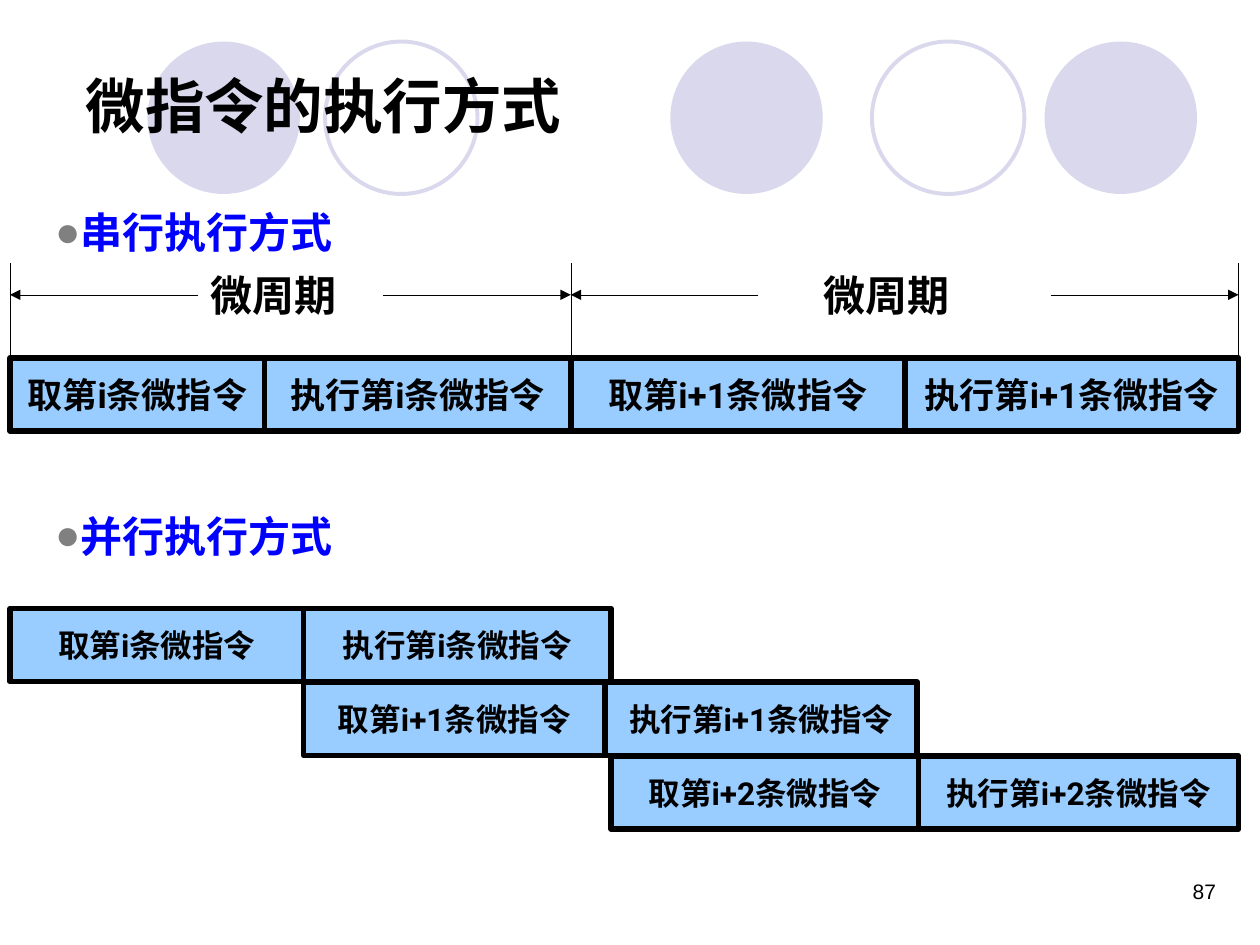
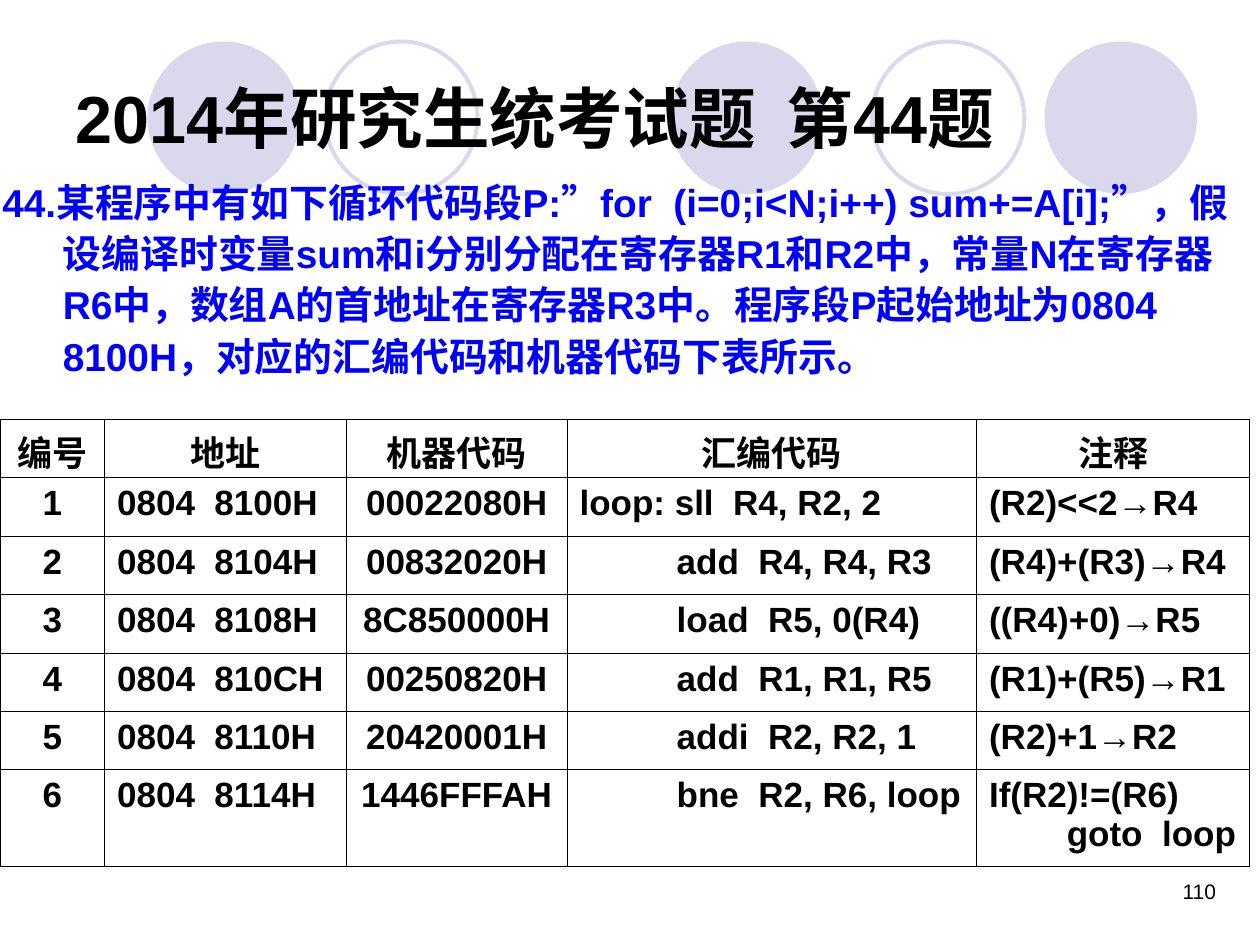
from itertools import pairwise

from lxml.etree import SubElement
from pptx import Presentation
from pptx.dml.color import RGBColor
from pptx.enum.shapes import MSO_CONNECTOR as CONNECTOR, MSO_SHAPE as SHAPE
from pptx.enum.text import MSO_ANCHOR as ANCHOR, PP_ALIGN as ALIGN
from pptx.oxml.ns import qn
from pptx.util import Inches, Pt

BLACK = RGBColor(0x00, 0x00, 0x00)
BLUE = RGBColor(0x00, 0x00, 0xFF)
LAVENDER = RGBColor(0xD9, 0xD8, 0xEC)
SKY = RGBColor(0x99, 0xCC, 0xFF)
BULLET_GREY = RGBColor(0x80, 0x80, 0x80)

BODY_FONT = "Arial"
DIAGRAM_FONT = "Roboto"

CIRCLE_SIZE = 1.21
FILLED_CIRCLES = [1.17, 5.32, 8.29]
RING_CIRCLES = [2.58, 6.92]

ROW_HEIGHT = 0.58
ROW_PITCH = 0.585
CYCLE_TOP = 2.09
ARROW_Y = 2.34
ARROW_LENGTH = 1.49
SERIAL_TOP = 2.84
PARALLEL_TOP = 4.83

SERIAL_EDGES = [0.08, 2.1, 4.53, 7.18, 9.83]
PARALLEL_EDGES = [(0.08, 2.41, 4.85), (2.41, 4.8, 7.28), (4.85, 7.29, 9.83)]

COLUMN_WIDTHS = [0.83, 1.92, 1.75, 3.25, 2.17]
ROW_HEIGHTS = [0.46, 0.47, 0.46, 0.47, 0.46, 0.46, 0.77]
CENTRED_COLUMNS = {0, 2}
PROGRAM = [
    ("编号", "地址", "机器代码", "汇编代码", "注释"),
    ("1", "0804  8100H", "00022080H", "loop: sll  R4, R2, 2", "(R2)<<2→R4"),
    ("2", "0804  8104H", "00832020H", "          add  R4, R4, R3", "(R4)+(R3)→R4"),
    ("3", "0804  8108H", "8C850000H", "          load  R5, 0(R4)", "((R4)+0)→R5"),
    ("4", "0804  810CH", "00250820H", "          add  R1, R1, R5", "(R1)+(R5)→R1"),
    ("5", "0804  8110H", "20420001H", "          addi  R2, R2, 1", "(R2)+1→R2"),
    ("6", "0804  8114H", "1446FFFAH", "          bne  R2, R6, loop",
     "If(R2)!=(R6)\n        goto  loop"),
]
QUESTION = (
    "44.某程序中有如下循环代码段P:”for  (i=0;i<N;i++) sum+=A[i];”，"
    "假设编译时变量sum和i分别分配在寄存器R1和R2中，常量N在寄存器R6中，"
    "数组A的首地址在寄存器R3中。程序段P起始地址为0804  8100H，"
    "对应的汇编代码和机器代码下表所示。"
)


def format_text(tf, size, color=BLACK, bold=True, font=BODY_FONT, align=ALIGN.LEFT):
    for p in tf.paragraphs:
        p.alignment = align
        for r in p.runs:
            r.font.size = Pt(size)
            r.font.name = font
            r.font.bold = bold
            r.font.color.rgb = color


def add_text(slide, text, left, top, width, height, size, **style):
    tf = slide.shapes.add_textbox(
        Inches(left), Inches(top), Inches(width), Inches(height)).text_frame
    tf.word_wrap = True
    tf.text = text
    format_text(tf, size, **style)
    return tf


def set_indent(p, hanging):
    """Hang the first line of a paragraph out by the given inches."""
    pPr = p._p.get_or_add_pPr()
    pPr.set("marL", str(Inches(hanging)))
    pPr.set("indent", str(-Inches(hanging)))
    return pPr


def add_circles(slide):
    """Put the circles on the slide's layout, behind its placeholders."""
    layout_tree = slide.slide_layout.shapes.element
    for i, left in enumerate(FILLED_CIRCLES + RING_CIRCLES):
        sp = slide.shapes.add_shape(
            SHAPE.OVAL, Inches(left), Inches(0.33),
            Inches(CIRCLE_SIZE), Inches(CIRCLE_SIZE))
        sp.shadow.inherit = False
        if left in FILLED_CIRCLES:
            sp.fill.solid()
            sp.fill.fore_color.rgb = LAVENDER
            sp.line.fill.background()
        else:
            sp.fill.background()
            sp.line.color.rgb = LAVENDER
            sp.line.width = Pt(2.25)
        sp.element.nvSpPr.cNvPr.set("id", str(100 + i))
        layout_tree.insert(2 + i, sp.element)


def add_slide(prs, title, box, size, number):
    slide = prs.slides.add_slide(prs.slide_layouts[5])
    sp = slide.shapes.title
    sp.left, sp.top, sp.width, sp.height = map(Inches, box)
    tf = sp.text_frame
    tf.text = title
    tf.vertical_anchor = ANCHOR.MIDDLE
    format_text(tf, size)
    add_text(slide, number, 7.42, 6.92, 2.33, 0.5, 12, bold=False, align=ALIGN.RIGHT)
    return slide


def add_bullet(slide, text, top):
    tf = add_text(slide, text, 0.34, top, 9.16, 0.7, 24, color=BLUE)
    p = tf.paragraphs[0]
    p.line_spacing = 1.3
    pPr = set_indent(p, 0.19)
    color = SubElement(pPr, qn("a:buClr"))
    SubElement(color, qn("a:srgbClr"), val=str(BULLET_GREY))
    SubElement(pPr, qn("a:buFont"), typeface=BODY_FONT)
    SubElement(pPr, qn("a:buChar"), char="●")


def add_line(slide, x1, y1, x2, y2, arrow=False):
    line = slide.shapes.add_connector(
        CONNECTOR.STRAIGHT, Inches(x1), Inches(y1), Inches(x2), Inches(y2))
    line.line.color.rgb = BLACK
    line.line.width = Pt(0.25)
    if arrow:
        SubElement(line.line._get_or_add_ln(), qn("a:tailEnd"), type="triangle")
    SubElement(line.element.spPr, qn("a:effectLst"))


def add_cycle(slide, start, end, label_left):
    """Mark one micro-cycle with arrows pointing outwards to its two ends."""
    add_line(slide, start + ARROW_LENGTH, ARROW_Y, start, ARROW_Y, arrow=True)
    add_line(slide, end - ARROW_LENGTH, ARROW_Y, end, ARROW_Y, arrow=True)
    add_text(slide, "微周期", label_left, CYCLE_TOP, 2.12, 0.5, 24, font=DIAGRAM_FONT)


def add_stages(slide, edges, top, labels, size):
    """Draw a row of adjoining boxes between the given edges."""
    for (left, right), label in zip(pairwise(edges), labels):
        sp = slide.shapes.add_shape(
            SHAPE.FLOWCHART_PROCESS, Inches(left), Inches(top),
            Inches(right - left), Inches(ROW_HEIGHT))
        sp.shadow.inherit = False
        sp.fill.solid()
        sp.fill.fore_color.rgb = SKY
        sp.line.color.rgb = BLACK
        sp.line.width = Pt(3.25)
        tf = sp.text_frame
        tf.margin_left = tf.margin_right = 0
        tf.word_wrap = False
        tf.vertical_anchor = ANCHOR.MIDDLE
        tf.text = label
        format_text(tf, size, font=DIAGRAM_FONT, align=ALIGN.CENTER)


def stage_labels(index):
    return [f"取第{index}条微指令", f"执行第{index}条微指令"]


def add_borders(cell):
    tcPr = cell._tc.get_or_add_tcPr()
    for side in ("lnL", "lnR", "lnT", "lnB"):
        ln = SubElement(tcPr, qn(f"a:{side}"), w=str(Pt(0.45)))
        fill = SubElement(ln, qn("a:solidFill"))
        SubElement(fill, qn("a:srgbClr"), val=str(BLACK))


def add_program_table(slide):
    table = slide.shapes.add_table(
        len(PROGRAM), len(COLUMN_WIDTHS), Inches(0), Inches(3.33),
        Inches(sum(COLUMN_WIDTHS)), Inches(sum(ROW_HEIGHTS))).table
    table.first_row = table.horz_banding = False
    for column, width in zip(table.columns, COLUMN_WIDTHS):
        column.width = Inches(width)
    for i, (row, height) in enumerate(zip(table.rows, ROW_HEIGHTS)):
        row.height = Inches(height)
        for j, cell in enumerate(row.cells):
            cell.text = PROGRAM[i][j]
            centred = i == 0 or j in CENTRED_COLUMNS
            format_text(cell.text_frame, 20,
                        align=ALIGN.CENTER if centred else ALIGN.LEFT)
            add_borders(cell)
            cell.fill.background()


def build_execution_slide(prs):
    slide = add_slide(prs, "微指令的执行方式", (0.58, 0.42, 7.78, 0.83), 34, "87")
    add_circles(slide)
    add_bullet(slide, "串行执行方式", 1.47)
    add_stages(slide, SERIAL_EDGES, SERIAL_TOP,
               stage_labels("i") + stage_labels("i+1"), 20)
    cycle_ends = SERIAL_EDGES[::2]
    for x in cycle_ends:
        add_line(slide, x, CYCLE_TOP, x, SERIAL_TOP)
    for (start, end), label_left in zip(pairwise(cycle_ends), (1.57, 6.44)):
        add_cycle(slide, start, end, label_left)

    add_bullet(slide, "并行执行方式", 3.88)
    for n, (edges, index) in enumerate(zip(PARALLEL_EDGES, ("i", "i+1", "i+2"))):
        add_stages(slide, edges, PARALLEL_TOP + n * ROW_PITCH, stage_labels(index), 18)


def build_exam_slide(prs):
    slide = add_slide(prs, "2014年研究生统考试题  第44题", (0.5, 0.3, 9, 1.25), 38, "110")
    tf = add_text(slide, QUESTION, -0.08, 1.33, 10.17, 2.08, 22.2, color=BLUE)
    p = tf.paragraphs[0]
    p.line_spacing = 1.1
    set_indent(p, 0.48)
    add_program_table(slide)


def main():
    prs = Presentation()
    prs.slide_width = Inches(10)
    prs.slide_height = Inches(7.5)
    build_execution_slide(prs)
    build_exam_slide(prs)
    prs.save("out.pptx")


if __name__ == "__main__":
    main()
